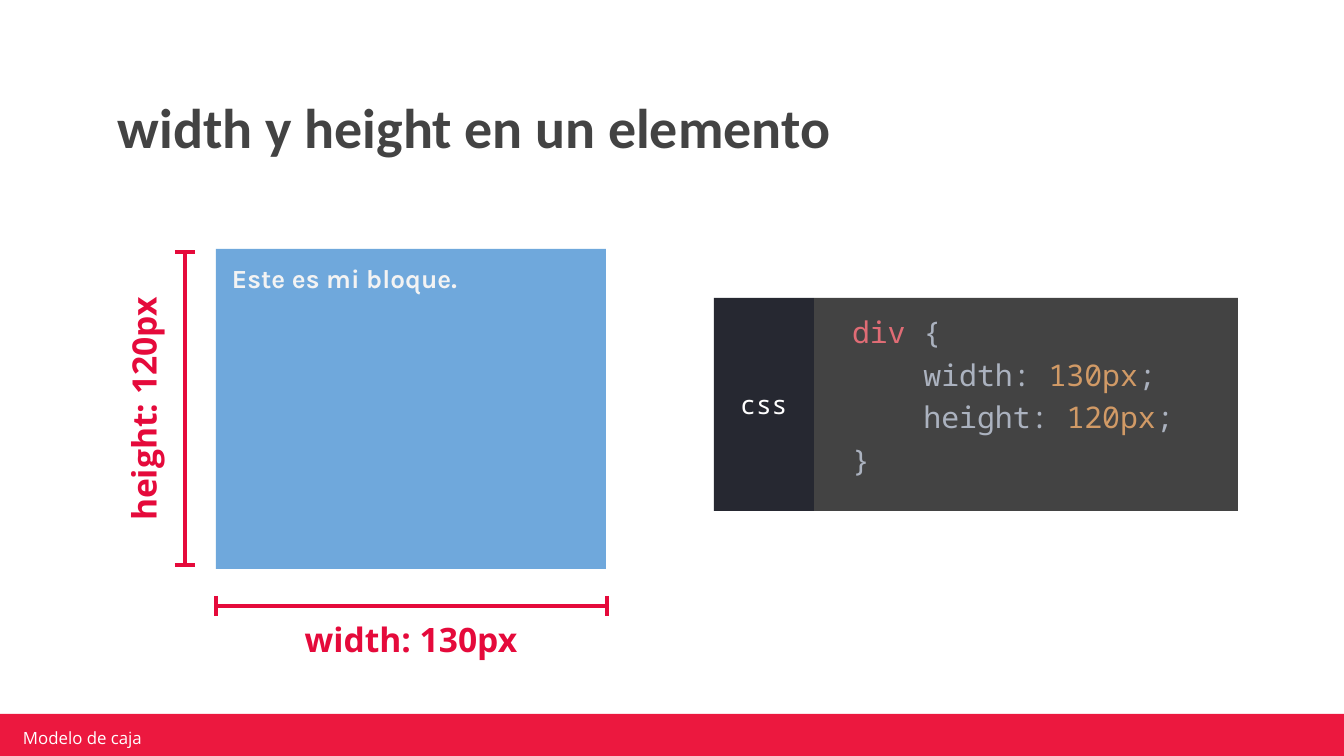
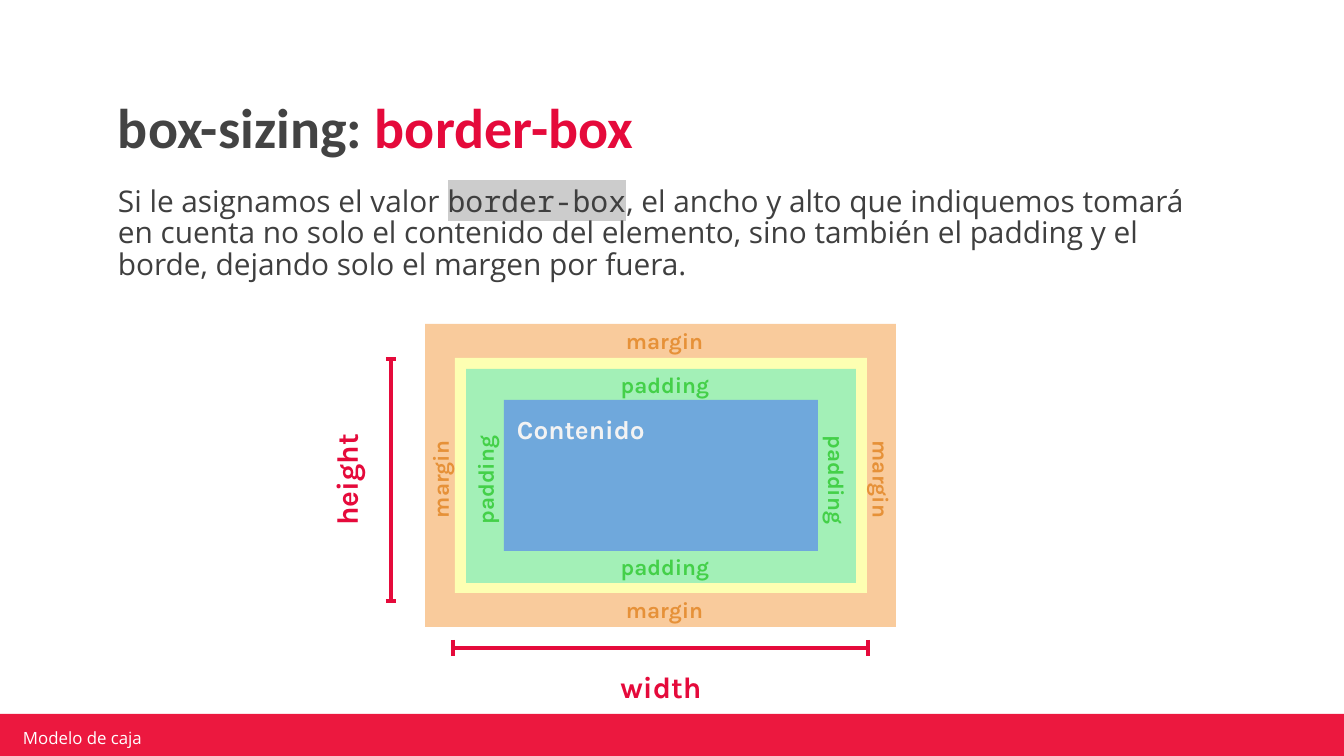
from lxml import etree
from pptx import Presentation
from pptx import util as u
from pptx.dml.color import RGBColor
from pptx.enum import shapes, text
from pptx.oxml import ns

RED, BAND, DARK, WHITE = "E50A3B", "EC183F", "434343", "FFFFFF"
BODY, PALE, BLUE, NIGHT = "3F3F3F", "F3F3F3", "6FA8DC", "262831"
PEACH, ORANGE, YELLOW = "F9CB9C", "E69138", "FDFFB2"
MINT, GREEN, GREY = "A3F0B7", "44D049", "CCCCCC"
TAG, CODE, VALUE = "E06C75", "ABB2BF", "D19A66"
HEAD, SANS, MONO, KARLA = "Calibri", "Open Sans", "Noto Sans Mono", "Karla"
LEFT, CENTER = text.PP_ALIGN.LEFT, text.PP_ALIGN.CENTER
TOP, MIDDLE, BOTTOM = (text.MSO_ANCHOR.TOP, text.MSO_ANCHOR.MIDDLE,
                       text.MSO_ANCHOR.BOTTOM)
TITLE_BOX = (105, 81, 1133, 93)
LABEL_SHIFT = 4


def px(n):
    return u.Emu(round(n * 914400 / 134.4))


def rgb(color):
    return RGBColor.from_string(color)


def add_run(p, words, font, size, color, bold=False, mark=None):
    r = p.add_run()
    r.text = words
    r.font.name = font
    r.font.size = u.Pt(size)
    r.font.bold = bold
    r.font.color.rgb = rgb(color)
    if mark:
        hl = etree.Element(ns.qn("a:highlight"))
        etree.SubElement(hl, ns.qn("a:srgbClr"), val=mark)
        r._r.get_or_add_rPr().find(ns.qn("a:solidFill")).addnext(hl)


def write(sp, lines, align=LEFT, anchor=TOP, insets=(13, 13, 13, 13),
          spacing=None, before=0, indent=0):
    tf = sp.text_frame
    tf.word_wrap = True
    tf.auto_size = text.MSO_AUTO_SIZE.NONE
    tf.vertical_anchor = anchor
    (tf.margin_left, tf.margin_top,
     tf.margin_right, tf.margin_bottom) = map(px, insets)
    for i, runs in enumerate(lines):
        p = tf.paragraphs[0] if i == 0 else tf.add_paragraph()
        if indent:
            p._p.get_or_add_pPr().set("marL", str(px(indent)))
        p.alignment = align
        p.space_before = u.Pt(before if i else 0)
        if spacing:
            p.line_spacing = spacing
        for run in runs:
            add_run(p, *run)


def add_rect(parent, box, color):
    sp = parent.add_shape(shapes.MSO_SHAPE.RECTANGLE, *map(px, box))
    sp.shadow.inherit = False
    sp.fill.solid()
    sp.fill.fore_color.rgb = rgb(color)
    sp.line.fill.background()
    return sp


def add_text(parent, box, lines, **style):
    sp = parent.add_textbox(*map(px, box))
    write(sp, lines, **style)
    return sp


def add_label(parent, cx, cy, w, h, run, turn=0, anchor=TOP):
    sp = add_text(parent, (cx - w / 2, cy - h / 2, w, h), [[run]],
                  align=CENTER, anchor=anchor)
    sp.rotation = turn


def add_line(parent, x1, y1, x2, y2):
    c = parent.add_connector(shapes.MSO_CONNECTOR.STRAIGHT,
                             *map(px, (x1, y1, x2, y2)))
    c.line.color.rgb = rgb(RED)
    c.line.width = u.Pt(2.25)
    etree.SubElement(c._element.spPr, ns.qn("a:effectLst"))


def add_measure(s, x1, y1, x2, y2, cap):
    group = s.shapes.add_group_shape().shapes
    add_line(group, x1, y1, x2, y2)
    dx, dy = (cap / 2, 0) if x1 == x2 else (0, cap / 2)
    for x, y in ((x1, y1), (x2, y2)):
        add_line(group, x - dx, y - dy, x + dx, y + dy)


def add_footer(prs, s):
    band = add_rect(s.shapes, (-3, 714, 1348, 48), BAND)
    name = add_text(s.shapes, (16, 728, 321, 20),
                    [[("Modelo de caja", SANS, 9, WHITE)]],
                    anchor=MIDDLE, insets=(7, 3, 7, 3))
    tree = prs.slide_master.shapes.element
    for number, sp in enumerate((band, name), 101):
        sp.element.nvSpPr.cNvPr.set("id", str(number))
        tree.append(sp.element)


def add_title(s, *parts):
    sp = s.shapes.title
    x, y, w, h = map(px, TITLE_BOX)
    sp.left, sp.top, sp.width, sp.height = x, y, w, h
    write(sp, [[(words, HEAD, 30, color, True) for words, color in parts]],
          anchor=BOTTOM, spacing=0.9)


def add_code(s, box, tab_width):
    x, y, w, h = box
    group = s.shapes.add_group_shape().shapes
    panel = add_rect(group, (x + tab_width, y, w - tab_width, h), DARK)
    lines = [[("div ", TAG), ("{", CODE)]]
    for name, value in (("width", "130px"), ("height", "120px")):
        lines.append([(f"    {name}: ", CODE), (value, VALUE), (";", CODE)])
    lines.append([("}", CODE)])
    write(panel, [[(words, MONO, 16, color) for words, color in line]
                  for line in lines],
          anchor=MIDDLE, insets=(11, 0, 13, 13), spacing=0.88,
          before=6, indent=27)
    tab = add_rect(group, (x, y, tab_width, h), NIGHT)
    write(tab, [[("css", MONO, 14, WHITE)]], align=CENTER, anchor=MIDDLE)


def add_block(s, box):
    x, y, w, h = box
    add_rect(s.shapes, box, BLUE)
    add_text(s.shapes, (x + 3, y, 269, 46),
             [[("Este es mi bloque.", KARLA, 14, PALE, True)]])
    add_measure(s, x - 31, y + 3, x - 31, y + h - 4, 20)
    add_measure(s, x, y + h + 37, x + w + 1, y + h + 37, 20)
    add_label(s.shapes, x + w / 2, y + h + 60, w, 46,
              ("width: 130px", SANS, 18, RED, True))
    add_label(s.shapes, x - 83, y + h / 2, 314, 46,
              ("height: 120px", SANS, 18, RED, True), 270)


def add_ring_labels(s, outer, inner, word, color):
    x, y, w, h = outer
    x2, y2, w2, h2 = inner
    cx, cy = x + w / 2 + LABEL_SHIFT, y + h / 2 + LABEL_SHIFT
    left, top = (x + x2) / 2, (y + y2) / 2
    right, bottom = (x + w + x2 + w2) / 2, (y + h + y2 + h2) / 2
    for lx, ly, turn in ((cx, top, 0), (cx, bottom, 0),
                         (left, cy, 270), (right, cy, 90)):
        add_label(s.shapes, lx, ly, 175, 31,
                  (word, KARLA, 12, color, True), turn, MIDDLE)


def add_box_model(s, x, y):
    margin = (x, y, 471, 303)
    border = (x + 30, y + 34, 412, 235)
    padding = (x + 41, y + 45, 390, 214)
    content = (x + 79, y + 76, 314, 151)
    for box, color in ((margin, PEACH), (border, YELLOW),
                       (padding, MINT), (content, BLUE)):
        add_rect(s.shapes, box, color)
    add_text(s.shapes, (*content[:2], 269, 46),
             [[("Contenido", KARLA, 14, PALE, True)]])
    add_ring_labels(s, padding, content, "padding", GREEN)
    add_ring_labels(s, margin, border, "margin", ORANGE)
    add_measure(s, x + 28, y + 324, x + 443, y + 324, 16)
    add_measure(s, x - 34, y + 35, x - 34, y + 277, 10)
    add_label(s.shapes, x + 236, y + 355, 316, 46,
              ("width", KARLA, 16, RED, True))
    add_label(s.shapes, x - 87, y + 156, 316, 46,
              ("height", KARLA, 16, RED, True), 270)


def size_slide(s):
    add_title(s, ("width y height en un elemento", DARK))
    add_block(s, (216, 249, 390, 320))
    add_code(s, (714, 298, 524, 213), 100)


def border_box_slide(s):
    add_title(s, ("box-sizing: ", DARK), ("border-box", RED))
    x, y, w, h = TITLE_BOX
    add_text(s.shapes, (x, y + h, w, 183), [[
        ("Si le asignamos el valor ", SANS, 16, BODY),
        ("border-box", MONO, 16, BODY, False, GREY),
        (", el ancho y alto que indiquemos tomará en cuenta no solo el "
         "contenido del elemento, sino también el padding y el borde, "
         "dejando solo el margen por fuera.", SANS, 16, BODY),
    ]], spacing=0.88)
    add_box_model(s, 425, 324)


def main():
    prs = Presentation()
    prs.slide_width, prs.slide_height = px(1344), px(756)
    for number, fill_slide in enumerate((size_slide, border_box_slide)):
        s = prs.slides.add_slide(prs.slide_layouts[5])
        if number == 0:
            add_footer(prs, s)
        fill_slide(s)
    prs.save("out.pptx")


if __name__ == "__main__":
    main()
